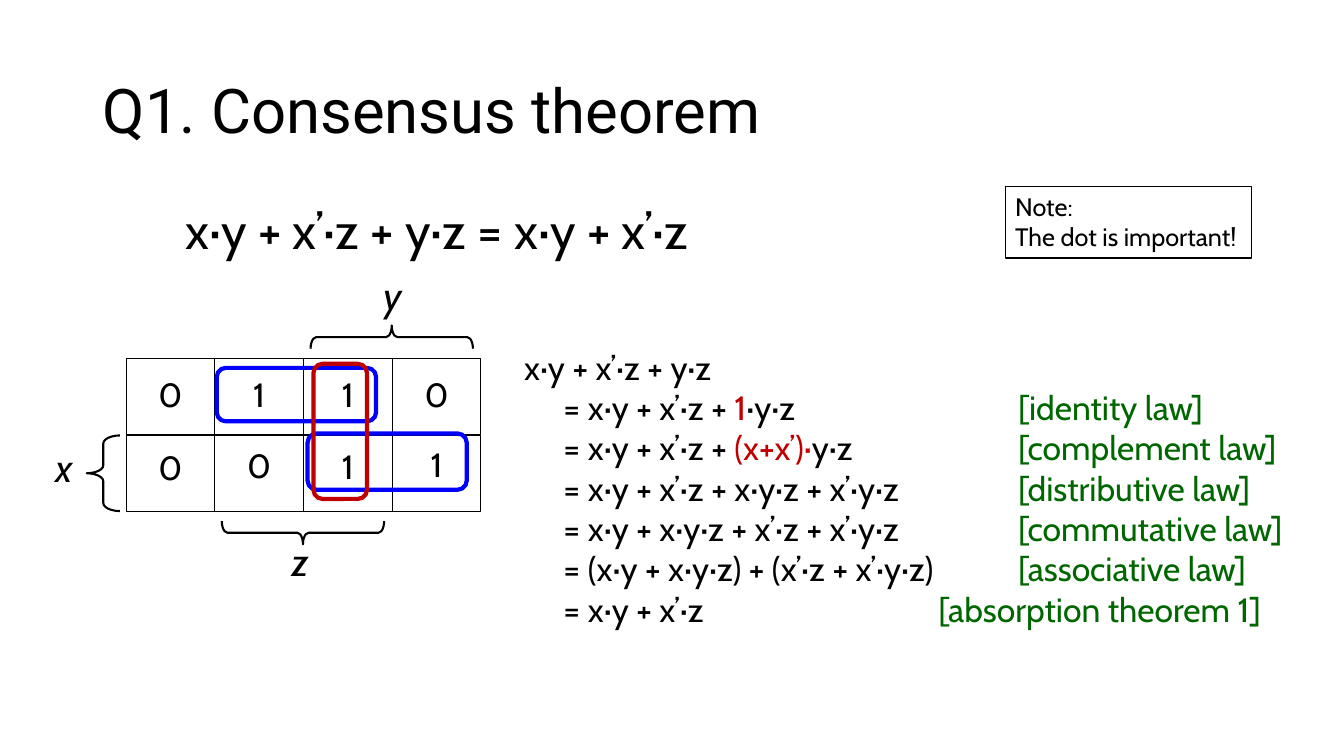
"""Build the consensus theorem slide with its Karnaugh map and proof."""
from lxml.etree import SubElement
from pptx import Presentation
from pptx.dml.color import RGBColor
from pptx.enum.shapes import MSO_SHAPE as SHAPE
from pptx.enum.text import MSO_ANCHOR as ANCHOR, MSO_AUTO_SIZE as AUTO_SIZE, PP_ALIGN as ALIGN
from pptx.oxml.ns import qn
from pptx.util import Inches, Pt

BLACK, BLUE, RED, GREEN = "000000", "0000FF", "C00000", "006600"


def add_run(paragraph, text, size, color=BLACK, font="Cabin", italic=None):
    run = paragraph.add_run()
    run.text = text
    run.font.size = Pt(size)
    run.font.name = font
    run.font.italic = italic
    run.font.color.rgb = RGBColor.from_string(color)


def add_outline(kind, left, top, width, height, color=BLACK, weight=0.75):
    outline = slide.shapes.add_shape(
        kind, Inches(left), Inches(top), Inches(width), Inches(height))
    outline.shadow.inherit = False
    outline.fill.background()
    outline.line.color.rgb = RGBColor.from_string(color)
    outline.line.width = Pt(weight)
    return outline


prs = Presentation()
prs.slide_width, prs.slide_height = Inches(13.33), Inches(7.5)
slide = prs.slides.add_slide(prs.slide_layouts[5])

title = slide.shapes.title
title.left, title.top = Inches(0.92), Inches(0.4)
title.width, title.height = Inches(11.5), Inches(1.45)
title.text_frame.auto_size = AUTO_SIZE.NONE
title.text_frame.vertical_anchor = ANCHOR.MIDDLE
heading = title.text_frame.paragraphs[0]
heading.alignment = ALIGN.LEFT
heading.line_spacing = 0.9
add_run(heading, "Q1. Consensus theorem", 44, font="Roboto")

map_left, map_top, cell_width, cell_height = 1.25, 3.56, 0.88, 0.76
for row in range(2):
    for column in range(4):
        add_outline(SHAPE.RECTANGLE, map_left + column * cell_width,
                    map_top + row * cell_height, cell_width, 0.75)

for left, top, width, height, turn in [
    (0.86, 4.32, 0.33, 0.75, 0),
    (3.77, 2.54, 0.23, 1.61, 90),
    (2.89, 4.48, 0.23, 1.61, 270),
]:
    brace = add_outline(SHAPE.LEFT_BRACE, left, top, width, height, weight=1.5)
    brace.adjustments[0] = 0.243
    brace.rotation = turn

labels = [
    ("x·y + x’·z + y·z = x·y + x’·z", 1.31, 1.93, 6.05, 0.71, 36, None),
    ("z", 2.63, 5.28, 0.69, 0.57, 28, True),
    ("x", 0.29, 4.35, 0.69, 0.57, 28, True),
    ("y", 3.55, 2.64, 0.69, 0.57, 28, True),
]
for digits, tops in [("0110", [3.66] * 4), ("0011", [4.38, 4.36, 4.37, 4.35])]:
    for column, (digit, top) in enumerate(zip(digits, tops)):
        labels.append((digit, 1.17 + column * cell_width, top, 1.04, 0.5, 24, None))
for text, left, top, width, height, size, italic in labels:
    label = slide.shapes.add_textbox(
        Inches(left), Inches(top), Inches(width), Inches(height)).text_frame
    label.word_wrap = True
    label.paragraphs[0].alignment = ALIGN.CENTER
    add_run(label.paragraphs[0], text, size, italic=italic)

for left, top, width, height, color in [
    (2.15, 3.65, 1.58, 0.53, BLUE),
    (3.05, 4.3, 1.58, 0.56, BLUE),
    (3.11, 3.61, 0.53, 1.34, RED),
]:
    add_outline(SHAPE.ROUNDED_RECTANGLE, left, top, width, height, color, 3)

proof_steps = [
    ([("x·y + x’·z + y·z", BLACK)], None),
    ([("\t= x·y + x’·z + ", BLACK), ("1", RED), ("·y·z", BLACK)], "identity law"),
    ([("\t= x·y + x’·z + ", BLACK), ("(x+x’)·", RED), ("y·z", BLACK)], "complement law"),
    ([("\t= x·y + x’·z + x·y·z + x’·y·z", BLACK)], "distributive law"),
    ([("\t= x·y + x·y·z + x’·z + x’·y·z", BLACK)], "commutative law"),
    ([("\t= (x·y + x·y·z) + (x’·z + x’·y·z)", BLACK)], "associative law"),
    ([("\t= x·y + x’·z", BLACK)], "absorption theorem 1"),
]
proof = slide.shapes.add_textbox(
    Inches(5.1), Inches(3.39), Inches(8.24), Inches(2.93)).text_frame
proof.word_wrap = True
for index, (terms, law) in enumerate(proof_steps):
    step = proof.add_paragraph() if index else proof.paragraphs[0]
    law_stop = 4.11 if law == "absorption theorem 1" else 4.9
    tab_stops = SubElement(step._p.get_or_add_pPr(), qn("a:tabLst"))
    for stop in (0.39, law_stop):
        SubElement(tab_stops, qn("a:tab"), pos=str(Inches(stop)), algn="l")
    for text, color in terms:
        add_run(step, text, 24, color)
    if law:
        add_run(step, f"\t[{law}]", 24, GREEN)

note = add_outline(SHAPE.RECTANGLE, 9.97, 1.85, 2.44, 0.71).text_frame
note.word_wrap = False
note.vertical_anchor = ANCHOR.TOP
note_text = note.paragraphs[0]
note_text.alignment = ALIGN.LEFT
add_run(note_text, "Note:", 18)
note_text.add_line_break()
add_run(note_text, "The dot is important!", 18)

prs.save("out.pptx")
